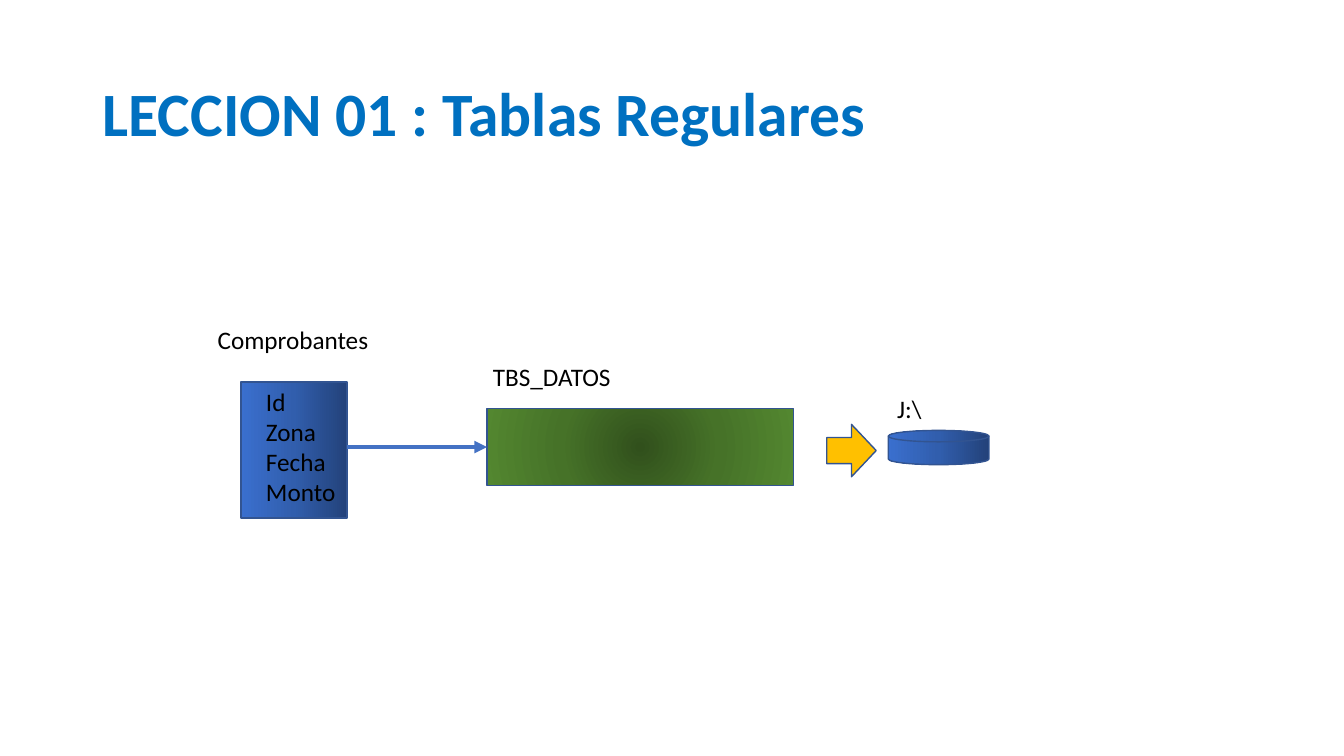
from lxml import etree
from pptx import Presentation
from pptx.dml.color import RGBColor
from pptx.enum.shapes import MSO_CONNECTOR as Connector, MSO_SHAPE as Shape
from pptx.enum.text import MSO_ANCHOR as Anchor, MSO_AUTO_SIZE as AutoSize
from pptx.oxml import parse_xml
from pptx.oxml.ns import nsdecls, qn
from pptx.util import Pt

PX = 9144  # 100 px to the inch
FONT = "Calibri"

WHITE = RGBColor(0xFF, 0xFF, 0xFF)
BLACK = RGBColor(0x00, 0x00, 0x00)
TITLE_BLUE = RGBColor(0x00, 0x70, 0xC0)
OUTLINE = RGBColor(0x32, 0x54, 0x91)
LINK_BLUE = RGBColor(0x44, 0x72, 0xC4)
AMBER = RGBColor(0xFF, 0xC0, 0x00)
BLUES = (RGBColor(0x23, 0x42, 0x7A), RGBColor(0x31, 0x5E, 0xAD), RGBColor(0x3A, 0x6F, 0xCE))
GREENS = (RGBColor(0x31, 0x50, 0x1C), RGBColor(0x46, 0x72, 0x28), RGBColor(0x53, 0x87, 0x30))

LEFTWARD = '<a:lin ang="10800000" scaled="0"/>'
FROM_CENTRE = ('<a:path path="circle">'
               '<a:fillToRect l="50000" t="50000" r="50000" b="50000"/></a:path>')


def emu(*lengths):
    return [round(length * PX) for length in lengths]


def add_text(page, box, lines, size=18, color=BLACK, bold=False,
             anchor=Anchor.TOP, wrap=False, spacing=None):
    frame = page.shapes.add_textbox(*emu(*box)).text_frame
    frame.word_wrap = wrap
    frame.auto_size = AutoSize.NONE if wrap else AutoSize.SHAPE_TO_FIT_TEXT
    frame.vertical_anchor = anchor
    for index, line in enumerate(lines):
        para = frame.add_paragraph() if index else frame.paragraphs[0]
        if spacing:
            para.line_spacing = spacing
        span = para.add_run()
        span.text = line
        span.font.name = FONT
        span.font.size = Pt(size)
        span.font.bold = bold
        span.font.color.rgb = color


def add_outlined(page, kind, box):
    shape = page.shapes.add_shape(kind, *emu(*box))
    shape.shadow.inherit = False
    shape.line.color.rgb = OUTLINE
    shape.line.width = Pt(1)
    return shape


def fill_gradient(shape, colors, direction):
    """Spread the colours evenly along the given gradient direction."""
    step = 100000 // (len(colors) - 1)
    stops = "".join(f'<a:gs pos="{index * step}"><a:srgbClr val="{color}"/></a:gs>'
                    for index, color in enumerate(colors))
    shape.fill.background()
    properties = shape._element.spPr
    properties.replace(properties.find(qn("a:noFill")), parse_xml(
        f'<a:gradFill {nsdecls("a")} rotWithShape="1">'
        f'<a:gsLst>{stops}</a:gsLst>{direction}</a:gradFill>'))


def add_title(page, box, title):
    add_text(page, box, [title], size=44, color=TITLE_BLUE, bold=True,
             anchor=Anchor.MIDDLE, wrap=True, spacing=0.9)


def add_record(page, box, name, fields):
    """Table of fields with its name above."""
    left, top, width, height = box
    record = add_outlined(page, Shape.RECTANGLE, box)
    fill_gradient(record, BLUES, LEFTWARD)
    add_text(page, (left - 33, top - 62, 171, 40), [name])
    add_text(page, (left + 15, top - 1, 90, 131), fields)
    return record


def add_tablespace(page, box, name):
    left, top, width, height = box
    tablespace = add_outlined(page, Shape.RECTANGLE, box)
    fill_gradient(tablespace, GREENS, FROM_CENTRE)
    add_text(page, (left - 4, top - 51, 138, 40), [name])
    return tablespace


def add_disk(page, box, name):
    """Disk with its drive name above and a block arrow leading to it."""
    left, top, width, height = box
    disk = add_outlined(page, Shape.FLOWCHART_MAGNETIC_DISK, box)
    fill_gradient(disk, BLUES, LEFTWARD)
    arrow = add_outlined(page, Shape.RIGHT_ARROW, (left - 61, top - 6, 49, 52))
    arrow.fill.solid()
    arrow.fill.fore_color.rgb = AMBER
    add_text(page, (left - 1, top - 42, 45, 40), [name])


def add_link(page, source, target):
    """Level arrow from the source's right edge to the target's left side."""
    level = target.top + target.height // 2
    link = page.shapes.add_connector(Connector.STRAIGHT, source.left + source.width, level,
                                     target.left, level)
    link.end_connect(target, 1)
    link.line.color.rgb = LINK_BLUE
    link.line.width = Pt(3)
    etree.SubElement(link.line._get_or_add_ln(), qn("a:tailEnd"), type="triangle")
    etree.SubElement(link._element.spPr, qn("a:effectLst"))


def main():
    deck = Presentation()
    deck.slide_width, deck.slide_height = emu(1333, 750)
    page = deck.slides.add_slide(deck.slide_layouts[6])
    page.background.fill.solid()
    page.background.fill.fore_color.rgb = WHITE

    add_title(page, (92, 43, 1150, 145), "LECCION 01 : Tablas Regulares")

    # Storage path: table, tablespace, disk
    record = add_record(page, (239, 379, 105, 135), "Comprobantes",
                        ["Id", "Zona", "Fecha", "Monto"])
    tablespace = add_tablespace(page, (483, 405, 304, 77), "TBS_DATOS")
    add_disk(page, (881, 427, 100, 34), "J:\\")
    add_link(page, record, tablespace)

    deck.save("out.pptx")


if __name__ == "__main__":
    main()
